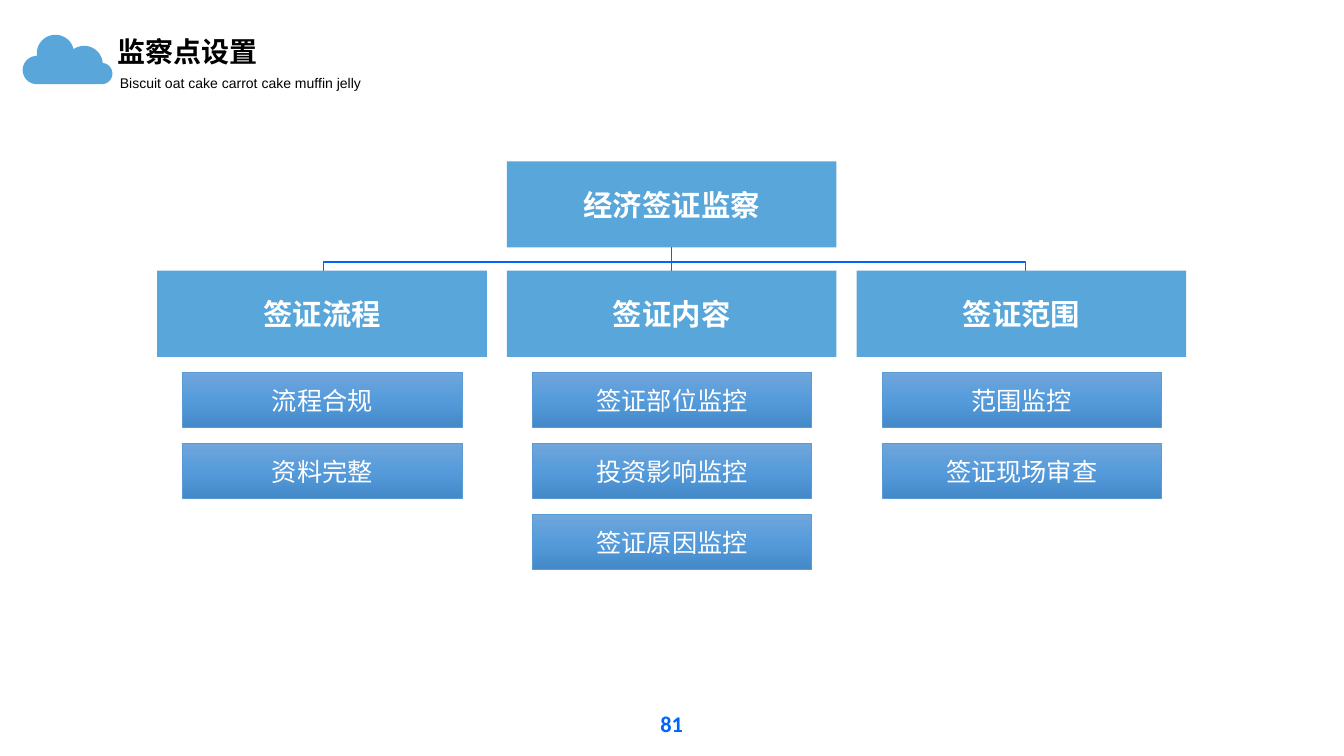
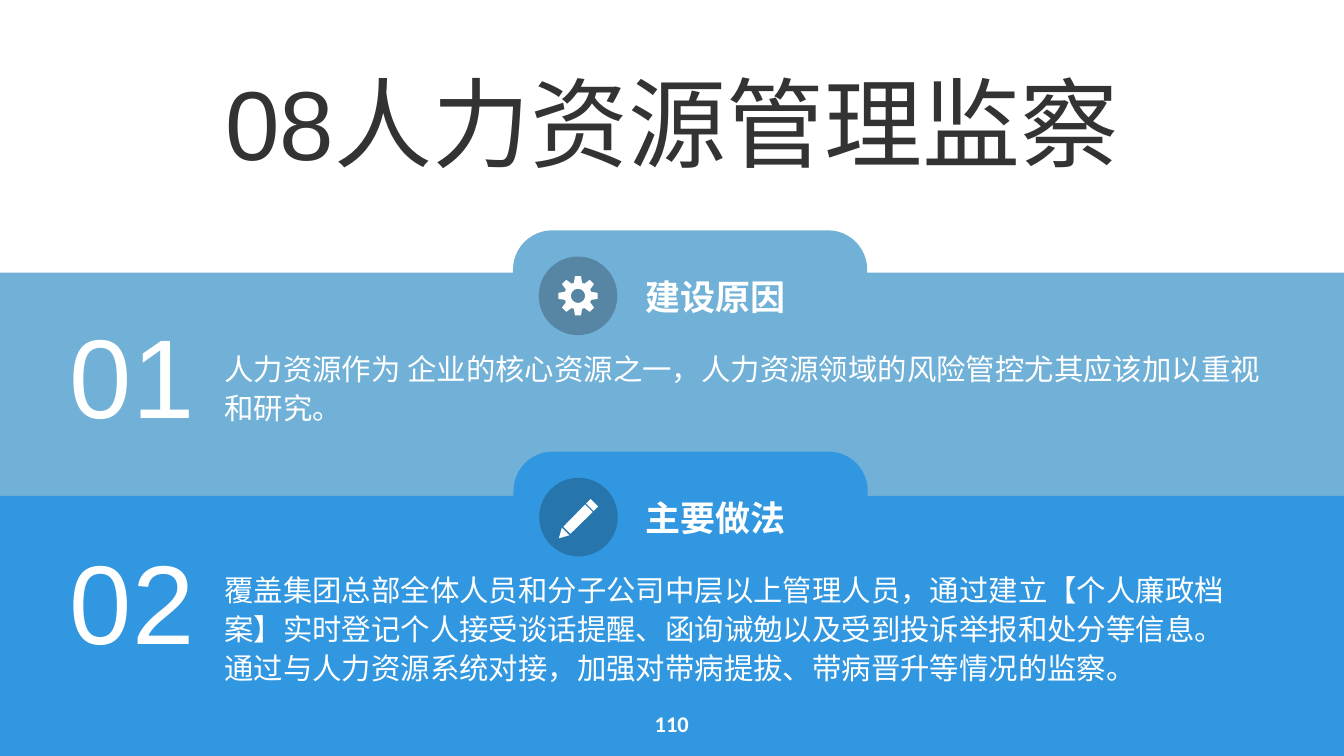
from copy import deepcopy
from dataclasses import dataclass
from math import cos, radians, sin

from lxml import etree
from pptx import Presentation
from pptx.dml.color import RGBColor
from pptx.enum.shapes import MSO_CONNECTOR, MSO_SHAPE
from pptx.enum.text import MSO_ANCHOR, PP_ALIGN
from pptx.oxml.ns import qn
from pptx.util import Inches, Pt

RECTANGLE, ROUNDED = MSO_SHAPE.RECTANGLE, MSO_SHAPE.ROUNDED_RECTANGLE
OVAL, STRAIGHT = MSO_SHAPE.OVAL, MSO_CONNECTOR.STRAIGHT
TOP, MIDDLE = MSO_ANCHOR.TOP, MSO_ANCHOR.MIDDLE
LEFT, CENTER = PP_ALIGN.LEFT, PP_ALIGN.CENTER

SKY = RGBColor(0x58, 0xA6, 0xDA)
LINK_BLUE = RGBColor(0x00, 0x65, 0xFA)
ITEM_BORDER = RGBColor(0x5B, 0x9B, 0xD5)
ITEM_GRADIENT = (RGBColor(0x70, 0xA6, 0xDB), RGBColor(0x55, 0x9B, 0xDB),
                 RGBColor(0x44, 0x8A, 0xC9))
PALE_BAND = RGBColor(0x72, 0xB1, 0xD7)
PALE_BADGE = RGBColor(0x56, 0x86, 0xA3)
BRIGHT_BAND = RGBColor(0x31, 0x97, 0xE0)
BRIGHT_BADGE = RGBColor(0x26, 0x75, 0xAD)
WHITE = RGBColor(0xFF, 0xFF, 0xFF)
BLACK = RGBColor(0x00, 0x00, 0x00)
CHARCOAL = RGBColor(0x33, 0x33, 0x33)

CHINESE_FONT = "Noto Sans CJK SC"
SLIDE_WIDTH, SLIDE_HEIGHT = 26.67, 15

Point = tuple[float, float]
Contour = list[Point]


@dataclass(frozen=True)
class Box:
    left: float
    top: float
    width: float
    height: float

    def lengths(self) -> list[int]:
        return [Inches(v) for v in (self.left, self.top, self.width, self.height)]


@dataclass(frozen=True)
class TextStyle:
    size: float
    font: str = "Arial"
    color: RGBColor = WHITE
    bold: bool = False
    align: int = LEFT
    anchor: int = TOP
    inset: float = 0
    line_spacing: float = 1.0


HEAD_STYLE = TextStyle(42, "Calibri", WHITE, True, CENTER, MIDDLE, 0.1)
ITEM_STYLE = TextStyle(36, CHINESE_FONT, WHITE, False, CENTER, MIDDLE, 0.1)
TITLE_STYLE = TextStyle(40, CHINESE_FONT, BLACK, True, inset=0.1)
SUBTITLE_STYLE = TextStyle(20, color=BLACK, inset=0.1)
COVER_STYLE = TextStyle(140, color=CHARCOAL, align=CENTER, anchor=MIDDLE, line_spacing=0.8)
NUMBER_STYLE = TextStyle(160, align=CENTER, anchor=MIDDLE, line_spacing=0.8)
HEADING_STYLE = TextStyle(50, bold=True, anchor=MIDDLE)
BODY_STYLE = TextStyle(42, line_spacing=1.1)


@dataclass(frozen=True)
class Branch:
    head: str
    items: tuple[str, ...]


@dataclass(frozen=True)
class Section:
    number: str
    heading: str
    body: str
    body_width: float
    band: Box
    tab_left: float
    tab_top: float
    number_top: float
    color: RGBColor
    badge_color: RGBColor
    icon: list[Contour]


def arc(center: Point, radius: float, start: float, end: float, steps: int = 24) -> Contour:
    """Points along an arc; degrees run clockwise from the right."""
    angles = [radians(start + (end - start) * i / steps) for i in range(steps + 1)]
    return [(center[0] + radius * cos(a), center[1] + radius * sin(a)) for a in angles]


def gear_contours() -> list[Contour]:
    """Eight teeth turned around the origin, and the round hole."""
    tooth = [(0.26, -0.08), (0.39, -0.06), (0.39, 0.06), (0.26, 0.08)]
    turns = [radians(45 * i) for i in range(8)]
    outline = [(x * cos(t) - y * sin(t), x * sin(t) + y * cos(t))
               for t in turns for x, y in tooth]
    return [outline, arc((0, 0), 0.14, 360, 0)]


PENCIL = [
    [(-0.39, 0.42), (-0.33, 0.21), (-0.18, 0.36)],
    [(-0.16, 0.33), (-0.3, 0.19), (0.13, -0.25), (0.28, -0.1)],
    [(0.3, -0.12), (0.15, -0.27), (0.24, -0.36), (0.39, -0.21)],
]
CLOUD = (arc((2.02, 1.46), 0.21, 90, -90) + arc((1.67, 1.28), 0.37, -5, -123)
         + arc((1.1, 1.06), 0.37, -14, -188) + arc((0.73, 1.39), 0.28, -90, -270))

BRANCHES = (
    Branch("签证流程", ("流程合规", "资料完整")),
    Branch("签证内容", ("签证部位监控", "投资影响监控", "签证原因监控")),
    Branch("签证范围", ("范围监控", "签证现场审查")),
)
SECTIONS = (
    Section("01", "建设原因",
            "人力资源作为 企业的核心资源之一，人力资源领域的风险管控尤其应该加以重视和研究。",
            20.79, Box(0, 5.41, SLIDE_WIDTH, 4.95), 10.18, 4.57, 6.37,
            PALE_BAND, PALE_BADGE, gear_contours()),
    Section("02", "主要做法",
            "覆盖集团总部全体人员和分子公司中层以上管理人员，通过建立【个人廉政档案】"
            "实时登记个人接受谈话提醒、函询诫勉以及受到投诉举报和处分等信息。"
            "通过与人力资源系统对接，加强对带病提拔、带病晋升等情况的监察。",
            19.84, Box(0, 9.84, SLIDE_WIDTH, 6.07), 10.19, 8.96, 10.85,
            BRIGHT_BAND, BRIGHT_BADGE, PENCIL),
)


def write_text(shape, text: str, style: TextStyle) -> None:
    frame = shape.text_frame
    inset = Inches(style.inset)
    frame_format = {"word_wrap": True, "vertical_anchor": style.anchor,
                    "margin_left": inset, "margin_right": inset,
                    "margin_top": inset, "margin_bottom": inset}
    for name, value in frame_format.items():
        setattr(frame, name, value)
    paragraph = frame.paragraphs[0]
    paragraph.alignment = style.align
    paragraph.line_spacing = style.line_spacing
    run = paragraph.add_run()
    run.text = text
    font_format = {"size": Pt(style.size), "bold": style.bold, "name": style.font}
    for name, value in font_format.items():
        setattr(run.font, name, value)
    run.font.color.rgb = style.color
    east_asian = etree.SubElement(run.font._element, qn("a:ea"))
    east_asian.set("typeface", CHINESE_FONT)


def add_text(shapes, box: Box, text: str, style: TextStyle) -> None:
    write_text(shapes.add_textbox(*box.lengths()), text, style)


def add_block(shapes, kind: int, box: Box, color: RGBColor):
    shape = shapes.add_shape(kind, *box.lengths())
    shape.shadow.inherit = False
    shape.fill.solid()
    shape.fill.fore_color.rgb = color
    shape.line.fill.background()
    return shape


def add_outline(shapes, contours: list[Contour], origin: Point = (0, 0), closed: bool = True):
    placed = [[(Inches(origin[0] + x), Inches(origin[1] + y)) for x, y in contour]
              for contour in contours]
    builder = shapes.build_freeform(*placed[0][0])
    for index, points in enumerate(placed):
        if index:
            builder.move_to(*points[0])
        builder.add_line_segments(points[1:], close=closed)
    shape = builder.convert_to_shape()
    shape.shadow.inherit = False
    return shape


def add_icon(shapes, contours: list[Contour], color: RGBColor, origin: Point = (0, 0)) -> None:
    shape = add_outline(shapes, contours, origin)
    shape.fill.solid()
    shape.fill.fore_color.rgb = color
    shape.line.fill.background()


def set_line(line, color: RGBColor, width: float) -> None:
    line.color.rgb = color
    line.width = Pt(width)


def add_page_number(slide, number: str, color: RGBColor) -> None:
    style = TextStyle(32, "Calibri", color, True, CENTER, MIDDLE, 0.1)
    add_text(slide.shapes, Box(12.86, 13.99, 0.94, 0.73), number, style)


def add_head(shapes, left: float, top: float, text: str):
    shape = add_block(shapes, RECTANGLE, Box(left, top, 6.54, 1.71), SKY)
    write_text(shape, text, HEAD_STYLE)
    return shape


def add_item(shapes, left: float, top: float, text: str) -> None:
    shape = add_block(shapes, RECTANGLE, Box(left, top, 5.55, 1.09), SKY)
    shape.fill.gradient()
    shape.fill.gradient_angle = 270
    stop_list = shape._element.spPr.find(".//" + qn("a:gsLst"))
    stop_list.insert(1, deepcopy(stop_list[0]))
    for index, color in enumerate(ITEM_GRADIENT):
        stop = shape.fill.gradient_stops[index]
        stop.position = index / 2
        stop.color.rgb = color
    set_line(shape.line, ITEM_BORDER, 1)
    write_text(shape, text, ITEM_STYLE)


def add_checkpoint_slide(presentation) -> None:
    slide = presentation.slides.add_slide(presentation.slide_layouts[6])
    shapes = slide.shapes
    add_page_number(slide, "81", LINK_BLUE)
    add_icon(shapes, [CLOUD], SKY)
    add_text(shapes, Box(2.24, 0.59, 7.52, 0.98), "监察点设置", TITLE_STYLE)
    add_text(shapes, Box(2.28, 1.38, 5.86, 0.51),
             "Biscuit oat cake carrot cake muffin jelly", SUBTITLE_STYLE)

    bracket = add_outline(
        shapes, [[(20.35, 5.59), (20.35, 5.2), (6.42, 5.2), (6.42, 5.46)]], closed=False)
    bracket.fill.background()
    set_line(bracket.line, LINK_BLUE, 2)

    root = add_head(shapes, 10.06, 3.2, "经济签证监察")
    heads = []
    for column, branch in enumerate(BRANCHES):
        left = 3.12 + 6.94 * column
        heads.append(add_head(shapes, left, 5.37, branch.head))
        for row, item in enumerate(branch.items):
            add_item(shapes, left + 0.5, 7.39 + 1.41 * row, item)

    stem = shapes.add_connector(STRAIGHT, 0, 0, 0, 0)
    stem.begin_connect(root, 2)
    stem.end_connect(heads[1], 0)
    set_line(stem.line, LINK_BLUE, 2)
    etree.SubElement(stem._element.spPr, qn("a:effectLst"))


def add_section(slide, section: Section) -> None:
    shapes = slide.shapes.add_group_shape().shapes
    left, top = section.tab_left, section.tab_top
    add_block(shapes, RECTANGLE, section.band, section.color)
    tab = add_block(shapes, ROUNDED, Box(left, top, 7.03, 2.6), section.color)
    tab.adjustments[0] = 0.3
    badge = Box(left + 0.51, top + 0.52, 1.56, 1.56)
    add_block(shapes, OVAL, badge, section.badge_color)
    add_icon(shapes, section.icon, WHITE,
             (badge.left + badge.width / 2, badge.top + badge.height / 2))
    add_text(shapes, Box(left + 2.62, top + 0.53, 3.9, 1.55), section.heading, HEADING_STYLE)
    add_text(shapes, Box(4.45, top + 2.33, section.body_width, 3), section.body, BODY_STYLE)
    add_text(shapes, Box(1.32, section.number_top, 2.6, 2.6), section.number, NUMBER_STYLE)


def add_personnel_slide(presentation) -> None:
    slide = presentation.slides.add_slide(presentation.slide_layouts[6])
    for section in SECTIONS:
        add_section(slide, section)
    add_page_number(slide, "110", WHITE)
    add_text(slide.shapes, Box(2.66, 1.33, 21.35, 2.6), "08人力资源管理监察", COVER_STYLE)


def main() -> None:
    presentation = Presentation()
    presentation.slide_width = Inches(SLIDE_WIDTH)
    presentation.slide_height = Inches(SLIDE_HEIGHT)
    add_checkpoint_slide(presentation)
    add_personnel_slide(presentation)
    presentation.save("out.pptx")


if __name__ == "__main__":
    main()
